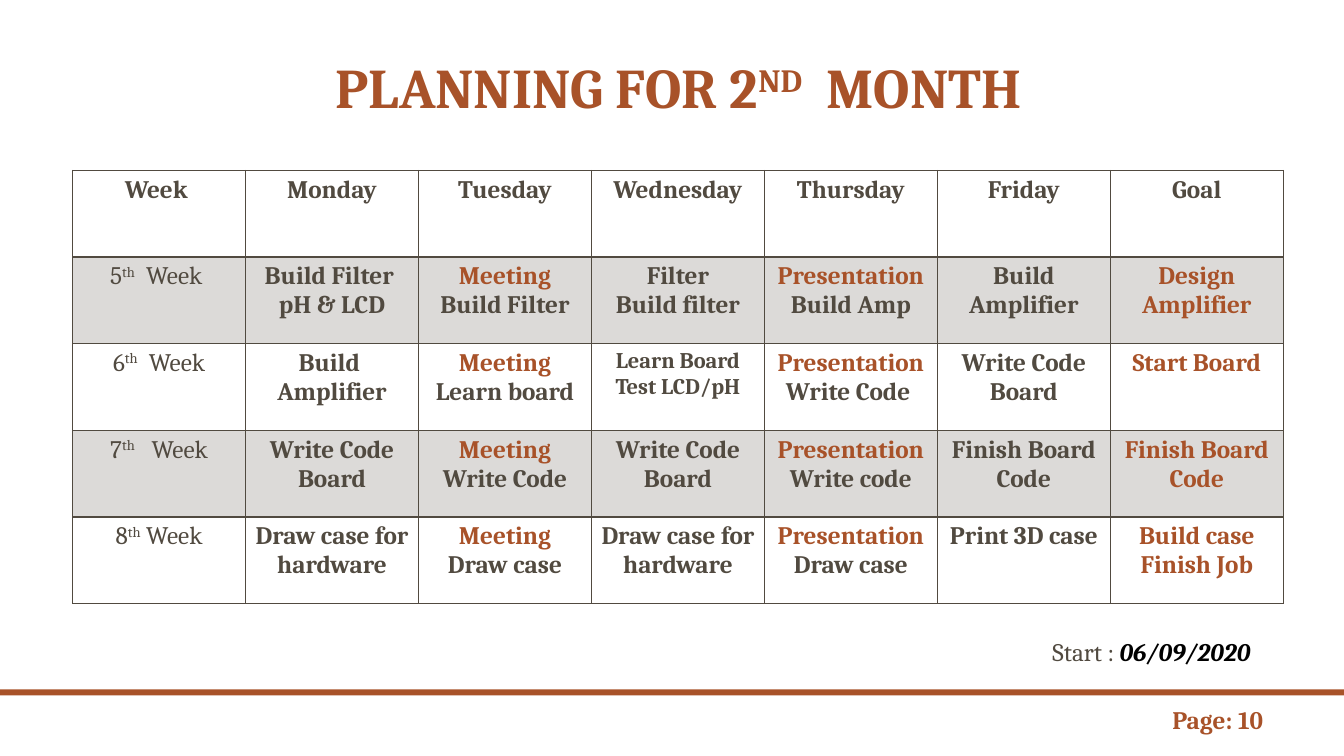
from dataclasses import dataclass

from lxml import etree
from pptx import Presentation
from pptx import util as u
from pptx.dml import color
from pptx.enum import shapes, text
from pptx.oxml import ns

RUST, BROWN, BLACK = "A85229", "514A40", "000000"


@dataclass
class Run:
    text: str
    color: str = BROWN
    size: int = 18
    bold: bool = True
    italic: bool = False
    raised: bool = False


@dataclass
class Label:
    left: float
    top: float
    width: float
    height: float
    runs: list[Run]


@dataclass
class Week:
    number: str
    suffix: str
    days: list[str]
    goal: str


DAYS = ["Monday", "Tuesday", "Wednesday", "Thursday", "Friday"]
HEADINGS = ["Week ", *DAYS, "Goal"]
MEETING_DAYS = ("Tuesday", "Thursday")
SMALL_CELL = "Learn Board\nTest LCD/pH"
WEEKS = [
    Week("5", "  Week ", ["Build Filter  pH & LCD", "Meeting\nBuild Filter", "Filter\nBuild filter",
                          "Presentation\nBuild Amp", "Build Amplifier"], "Design\nAmplifier"),
    Week("6", "  Week", ["Build \nAmplifier", "Meeting\nLearn board", SMALL_CELL,
                         "Presentation\nWrite Code ", "Write Code Board"], "Start Board"),
    Week("7", "   Week", ["Write Code Board", "Meeting\nWrite Code", "Write Code\nBoard",
                          "Presentation\nWrite code", "Finish Board Code"], "Finish Board Code"),
    Week("8", " Week", ["Draw case for hardware", "Meeting\nDraw case", "Draw case for hardware",
                        "Presentation\nDraw case", "Print 3D case"], "Build case\nFinish Job"),
]

TITLE = Label(1.42, 0, 10.5, 1.25, [
    Run(" PLANNING FOR 2", RUST, 40),
    Run("ND", RUST, 40, raised=True),
    Run("  MONTH", RUST, 40),
])
START = Label(10.34, 6.26, 2.38, 0.4, [
    Run("Start : ", bold=False),
    Run("06/09/2020", BLACK, italic=True),
])
PAGE = Label(11.53, 6.94, 1.2, 0.4, [Run("Page: 10", RUST)])


def rgb(value: str) -> color.RGBColor:
    return color.RGBColor.from_string(value)


def add_runs(p, runs: list[Run]) -> None:
    for run in runs:
        r = p.add_run()
        r.text = run.text
        r.font.name = "Cambria"
        r.font.size = u.Pt(run.size)
        r.font.bold = run.bold
        r.font.italic = run.italic
        r.font.color.rgb = rgb(run.color)
        if run.raised:
            r._r.get_or_add_rPr().set("baseline", "30000")


def add_label(s, label: Label):
    box = s.shapes.add_textbox(*map(u.Inches, (label.left, label.top, label.width, label.height)))
    tf = box.text_frame
    tf.word_wrap = True
    add_runs(tf.paragraphs[0], label.runs)
    return tf


def week_lines(week: Week) -> list[list[Run]]:
    return [[Run(week.number, bold=False), Run("th", bold=False, raised=True),
             Run(week.suffix, bold=False)]]


def day_lines(day: str, content: str) -> list[list[Run]]:
    size = 16 if content == SMALL_CELL else 18
    return [[Run(line, RUST if day in MEETING_DAYS and i == 0 else BROWN, size)]
            for i, line in enumerate(content.split("\n"))]


def goal_lines(goal: str) -> list[list[Run]]:
    return [[Run(line, RUST)] for line in goal.split("\n")]


def set_borders(cell, top: float, bottom: float) -> None:
    tc_pr = cell._tc.get_or_add_tcPr()
    for side, width in (("L", 1), ("R", 1), ("T", top), ("B", bottom)):
        ln = etree.SubElement(tc_pr, ns.qn(f"a:ln{side}"), w=str(u.Pt(width)))
        fill = etree.SubElement(ln, ns.qn("a:solidFill"))
        etree.SubElement(fill, ns.qn("a:srgbClr"), val=BROWN)


def set_shade(cell, shaded: bool) -> None:
    if not shaded:
        cell.fill.background()
        return
    cell.fill.solid()
    cell.fill.fore_color.rgb = rgb(BROWN)
    clr = cell._tc.tcPr.find(f"{ns.qn('a:solidFill')}/{ns.qn('a:srgbClr')}")
    etree.SubElement(clr, ns.qn("a:alpha"), val="20000")


def fill_cell(cell, lines: list[list[Run]]) -> None:
    cell.margin_left = cell.margin_right = u.Inches(0.09)
    tf = cell.text_frame
    for i, runs in enumerate(lines):
        p = tf.add_paragraph() if i else tf.paragraphs[0]
        p.alignment = text.PP_ALIGN.CENTER
        add_runs(p, runs)


def add_plan(s) -> None:
    rows = [[[[Run(heading)]] for heading in HEADINGS]]
    for week in WEEKS:
        days = [day_lines(day, content) for day, content in zip(DAYS, week.days)]
        rows.append([week_lines(week), *days, goal_lines(week.goal)])
    frame = s.shapes.add_table(len(rows), len(HEADINGS), u.Inches(0.72), u.Inches(1.69),
                               u.Inches(12.01), u.Inches(4.3))
    table = frame.table
    table.first_row = False
    table.horz_banding = False
    for i, row in enumerate(rows):
        for j, lines in enumerate(row):
            cell = table.cell(i, j)
            set_borders(cell, top=2 if i == 1 else 1, bottom=2 if i == 0 else 1)
            set_shade(cell, i % 2 == 1)
            fill_cell(cell, lines)


def add_footer_bar(s) -> None:
    sp = s.shapes.add_shape(shapes.MSO_SHAPE.RECTANGLE, 0, u.Inches(6.84),
                            u.Inches(13.33), u.Inches(0.06))
    sp.shadow.inherit = False
    sp.fill.solid()
    sp.fill.fore_color.rgb = rgb(RUST)
    sp.line.fill.background()


def main() -> None:
    prs = Presentation()
    prs.slide_width, prs.slide_height = u.Inches(13.33), u.Inches(7.5)
    s = prs.slides.add_slide(prs.slide_layouts[6])
    add_footer_bar(s)
    add_plan(s)
    tf = add_label(s, TITLE)
    tf.vertical_anchor = text.MSO_ANCHOR.BOTTOM
    tf.paragraphs[0].alignment = text.PP_ALIGN.CENTER
    tf.paragraphs[0].line_spacing = 0.9
    for label in (START, PAGE):
        add_label(s, label).auto_size = text.MSO_AUTO_SIZE.SHAPE_TO_FIT_TEXT
    prs.save("out.pptx")


if __name__ == "__main__":
    main()
